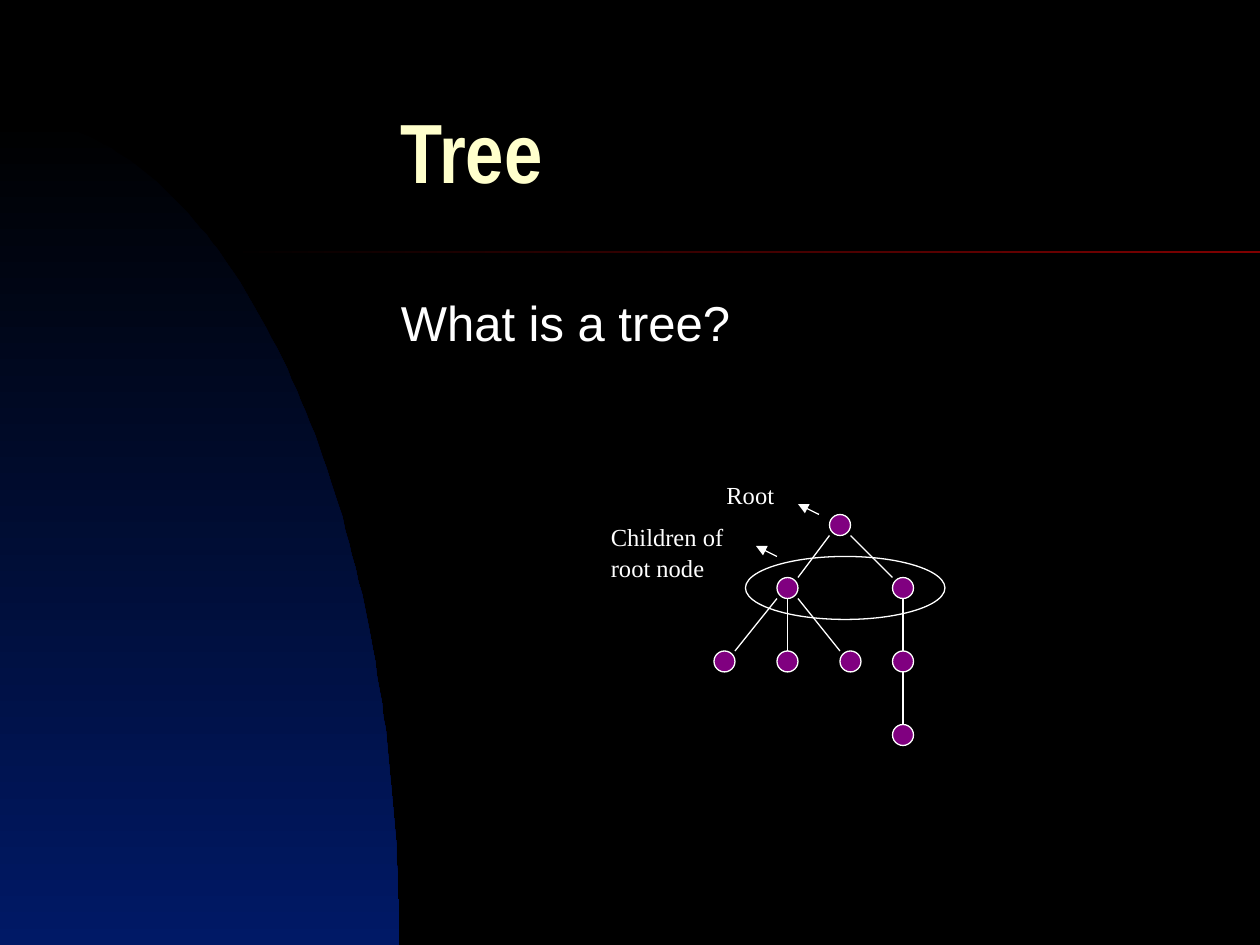
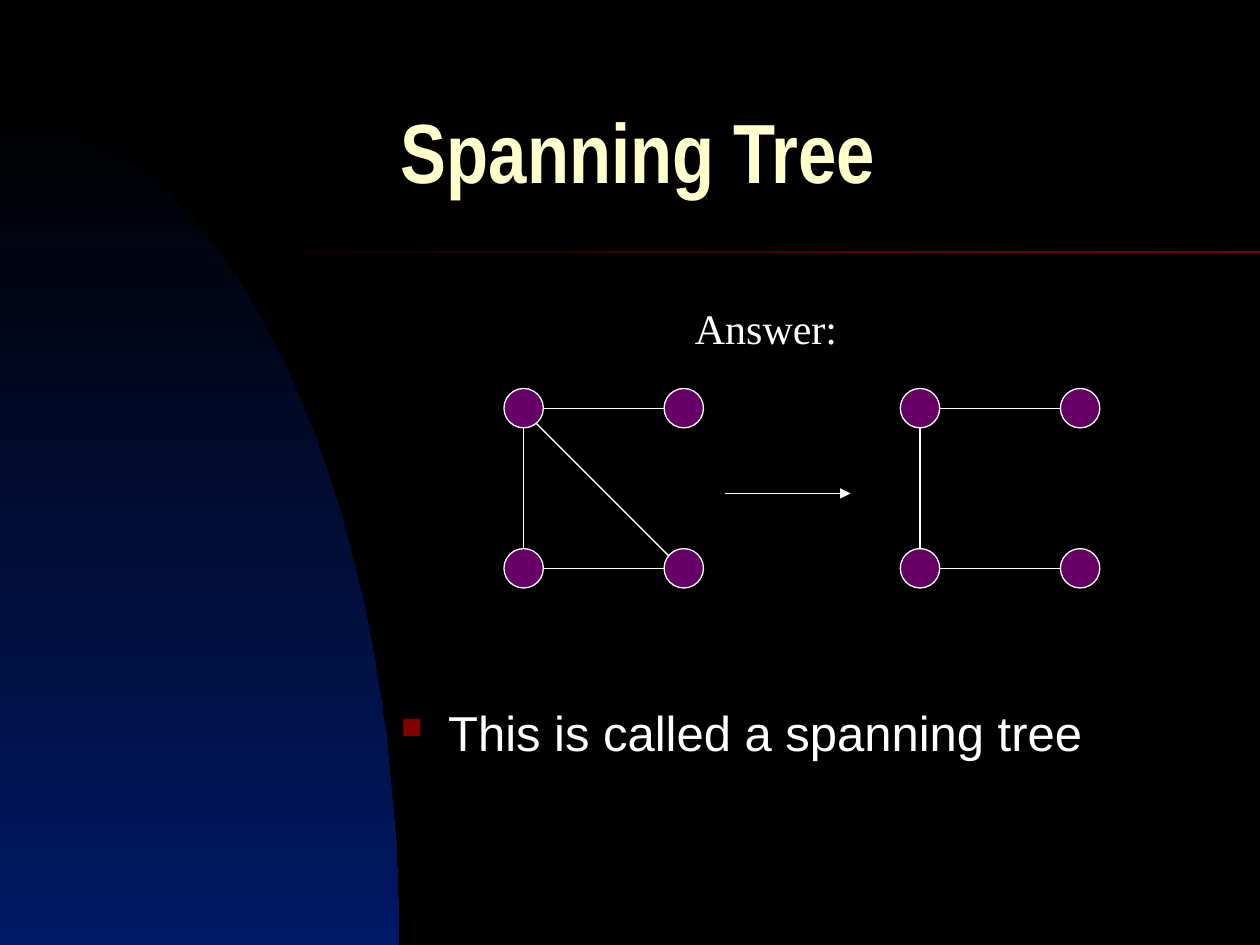
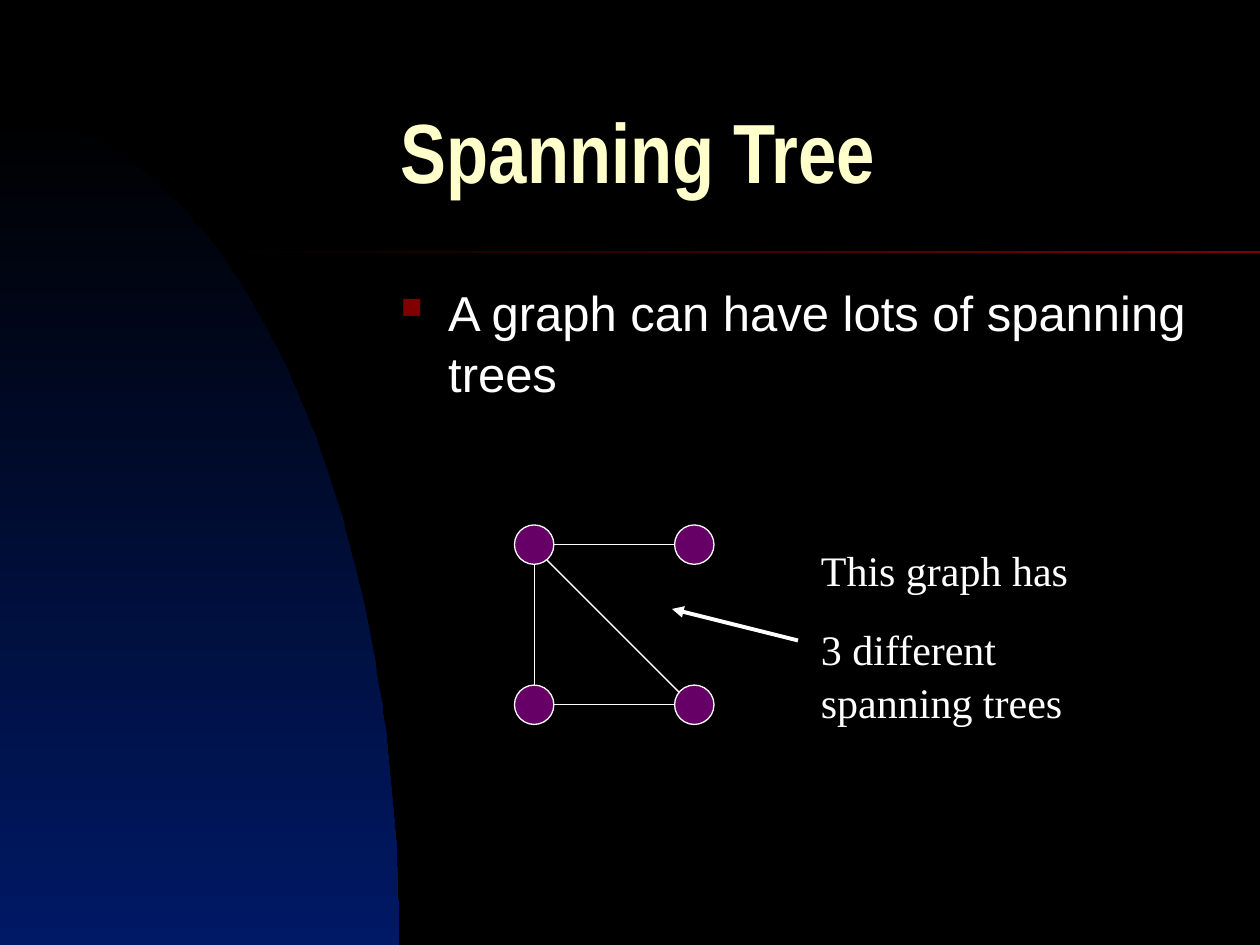
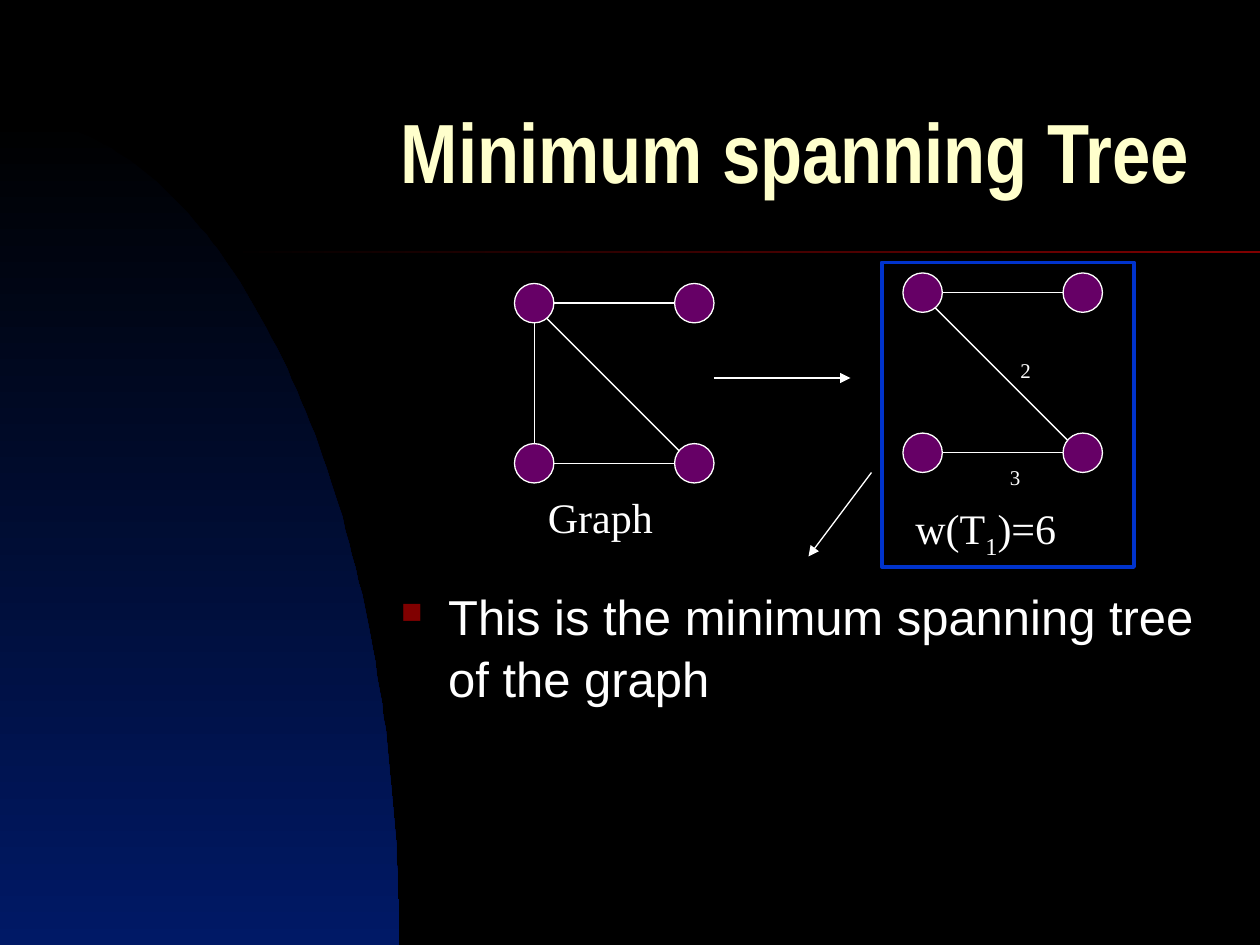
"""Builds four slides about trees and spanning trees."""
from math import cos, pi, sin

from pptx import Presentation
from pptx.dml.color import RGBColor
from pptx.enum.shapes import MSO_CONNECTOR as Link, MSO_SHAPE as Preset
from pptx.enum.text import MSO_ANCHOR as Anchor
from pptx.oxml.ns import qn
from pptx.util import Emu, Pt
from lxml.etree import SubElement

PX = 9525
WIDTH, HEIGHT = 960, 720
BLACK = RGBColor(0, 0, 0)
WHITE = RGBColor(0xFF, 0xFF, 0xFF)
CREAM = RGBColor(0xFF, 0xFF, 0xCC)
RED = RGBColor(0x80, 0, 0)
BLUE = RGBColor(0, 0x33, 0xCC)
DEEP_BLUE = RGBColor(0, 0x19, 0x66)
PURPLE = RGBColor(0x80, 0, 0x80)
DARK_PURPLE = RGBColor(0x66, 0, 0x66)
SERIF, SANS, NARROW = "Times New Roman", "Arial", "Arial Narrow"
TEXT_LEFT, TEXT_WIDTH = 296, 640
ARC_TOP, ARC_WIDTH, ARC_STEPS = 88, 304, 90
BULLET_INDENT = 36
TREE_NODE, NODE, GRID = 16, 30, 122
TOP_EDGE = (NODE, NODE // 2, GRID, NODE // 2)
LEFT_EDGE = (NODE // 2, NODE, NODE // 2, GRID)
BOTTOM_EDGE = (NODE, GRID + NODE // 2, GRID, GRID + NODE // 2)
DIAGONAL = (23, 25, GRID + 8, GRID + 10)
FULL_GRAPH = (TOP_EDGE, LEFT_EDGE, BOTTOM_EDGE, DIAGONAL)


def px(*lengths):
    """Turn pixels into EMU."""
    return [Emu(length * PX) for length in lengths]


def paint_gradient(shape, start, end, angle):
    """Fill a shape with a two-colour gradient and no outline."""
    shape.shadow.inherit = False
    shape.line.fill.background()
    shape.fill.gradient()
    shape.fill.gradient_angle = angle
    for stop, colour, position in zip(shape.fill.gradient_stops, (start, end), (0, 1)):
        stop.color.rgb = colour
        stop.position = position


def add_outline(page, preset, frame, line_colour=WHITE, line_width=0.75, fill=None):
    """Add an outlined preset shape, filled when a colour is given."""
    shape = page.shapes.add_shape(preset, *px(*frame))
    shape.shadow.inherit = False
    if fill is None:
        shape.fill.background()
    else:
        shape.fill.solid()
        shape.fill.fore_color.rgb = fill
    shape.line.color.rgb = line_colour
    shape.line.width = Pt(line_width)


def add_line(page, ends, width=0.75, arrow=False):
    """Add a white line, with an arrowhead at its end if asked."""
    line = page.shapes.add_connector(Link.STRAIGHT, *px(*ends))
    line.line.color.rgb = WHITE
    line.line.width = Pt(width)
    properties = line._element.spPr
    if arrow:
        SubElement(properties.find(qn("a:ln")), qn("a:tailEnd"), type="triangle")
    SubElement(properties, qn("a:effectLst"))


def add_box(page, frame, anchor=Anchor.TOP):
    """Add a wrapping text box and return its text frame."""
    text = page.shapes.add_textbox(*px(*frame)).text_frame
    text.word_wrap = True
    text.vertical_anchor = anchor
    return text


def add_span(para, words, size, face=SERIF, colour=WHITE, bold=False):
    """Add one run of text and return it."""
    span = para.add_run()
    span.text = words
    span.font.size = Pt(size)
    span.font.name = face
    span.font.bold = bold
    span.font.color.rgb = colour
    return span


def add_label(page, frame, lines, size):
    """Add a serif label with one paragraph for each line."""
    text = add_box(page, frame)
    for index, words in enumerate(lines):
        para = text.add_paragraph() if index else text.paragraphs[0]
        para.line_spacing = 1.05
        if index:
            para.space_before = Pt(15)
        add_span(para, words, size)


def add_body(page, top, height, words, bullet=True):
    """Add the main sentence, with a red square bullet by default."""
    para = add_box(page, (TEXT_LEFT, top, TEXT_WIDTH, height)).paragraphs[0]
    if bullet:
        properties = para._p.get_or_add_pPr()
        properties.set("marL", str(BULLET_INDENT * PX))
        properties.set("indent", str(-BULLET_INDENT * PX))
        colour = SubElement(properties, qn("a:buClr"))
        SubElement(colour, qn("a:srgbClr"), val=str(RED))
        SubElement(properties, qn("a:buSzPct"), val="60000")
        SubElement(properties, qn("a:buChar"), char="■")
    para.line_spacing = 1.05
    add_span(para, words, 28, SANS)


def add_page(deck, title):
    """Add a slide with the shared background, arc, rule and title."""
    page = deck.slides.add_slide(deck.slide_layouts[6])
    page.background.fill.solid()
    page.background.fill.fore_color.rgb = BLACK

    angles = [step * pi / 2 / ARC_STEPS for step in range(ARC_STEPS + 1)]
    curve = [(ARC_WIDTH * sin(angle), HEIGHT - (HEIGHT - ARC_TOP) * cos(angle))
             for angle in angles]
    builder = page.shapes.build_freeform(0, HEIGHT, scale=PX)
    builder.add_line_segments(curve)
    paint_gradient(builder.convert_to_shape(), BLACK, DEEP_BLUE, 270)

    rule = page.shapes.add_shape(Preset.RECTANGLE, *px(173, 191, WIDTH - 173, 2))
    paint_gradient(rule, BLACK, RED, 0)

    text = add_box(page, (TEXT_LEFT, 64, TEXT_WIDTH, 120), Anchor.MIDDLE)
    text.paragraphs[0].line_spacing = 0.7
    add_span(text.paragraphs[0], title, 48, NARROW, CREAM, True)
    return page


def add_graph(page, left, top, edges):
    """Draw four nodes on a square grid, joined by the given edges."""
    for x1, y1, x2, y2 in edges:
        add_line(page, (left + x1, top + y1, left + x2, top + y2))
    for x in (left, left + GRID):
        for y in (top, top + GRID):
            add_outline(page, Preset.OVAL, (x, y, NODE, NODE), fill=DARK_PURPLE)


def add_tree(page):
    """Draw the rooted tree with its labels."""
    nodes = ((632, 392), (592, 440), (680, 440), (544, 496),
             (592, 496), (640, 496), (680, 496), (680, 552))
    edges = ((608, 440, 632, 408), (648, 408, 680, 440), (600, 456, 600, 496),
             (688, 456, 688, 496), (608, 456, 640, 496), (592, 456, 560, 496),
             (688, 512, 688, 552))
    for x, y in nodes:
        add_outline(page, Preset.OVAL, (x, y, TREE_NODE, TREE_NODE), fill=PURPLE)
    for edge in edges:
        add_line(page, edge)
    add_outline(page, Preset.OVAL, (568, 424, 152, 48))
    add_label(page, (544, 360, 64, 33), ["Root"], 14)
    add_line(page, (624, 392, 608, 384), arrow=True)
    add_label(page, (456, 392, 136, 55), ["Children of root node"], 14)
    add_line(page, (592, 424, 576, 416), arrow=True)


def add_weight(page):
    """Add the total weight of the first tree."""
    para = add_box(page, (688, 376, 152, 54)).paragraphs[0]
    para.line_spacing = 1.05
    add_span(para, "w(T", 24)
    subscript = add_span(para, "1", 24)
    subscript.font._element.set("baseline", "-25000")
    add_span(para, ")=6", 24)


def main():
    """Build and save the deck."""
    deck = Presentation()
    deck.slide_width, deck.slide_height = px(WIDTH, HEIGHT)

    page = add_page(deck, "Tree")
    add_body(page, 216, 432, "What is a tree?", bullet=False)
    add_tree(page)

    page = add_page(deck, "Spanning Tree")
    add_body(page, 528, 64, "This is called a spanning tree")
    add_graph(page, 384, 296, FULL_GRAPH)
    add_label(page, (520, 224, 136, 48), ["Answer:"], 24)
    add_line(page, (552, 376, 648, 376), arrow=True)
    add_graph(page, 686, 296, (TOP_EDGE, LEFT_EDGE, BOTTOM_EDGE))

    page = add_page(deck, "Spanning Tree")
    add_graph(page, 392, 400, FULL_GRAPH)
    add_label(page, (616, 408, 264, 145),
              ["This graph has", "3 different spanning trees"], 24)
    add_line(page, (608, 488, 512, 464), width=2.25, arrow=True)
    add_body(page, 208, 432, "A graph can have lots of spanning trees")

    page = add_page(deck, "Minimum spanning Tree")
    add_body(page, 440, 256, "This is the minimum spanning tree of the graph")
    add_graph(page, 392, 216, FULL_GRAPH)
    add_label(page, (408, 368, 128, 48), ["Graph"], 24)
    add_graph(page, 688, 208, (TOP_EDGE, BOTTOM_EDGE, DIAGONAL))
    add_weight(page)
    add_label(page, (768, 267, 32, 29), ["2"], 12)
    add_label(page, (760, 348, 32, 29), ["3"], 12)
    add_outline(page, Preset.RECTANGLE, (672, 200, 192, 232), BLUE, 2.25)
    add_line(page, (544, 288, 648, 288), arrow=True)
    add_line(page, (664, 360, 616, 424), arrow=True)

    deck.save("out.pptx")


if __name__ == "__main__":
    main()
